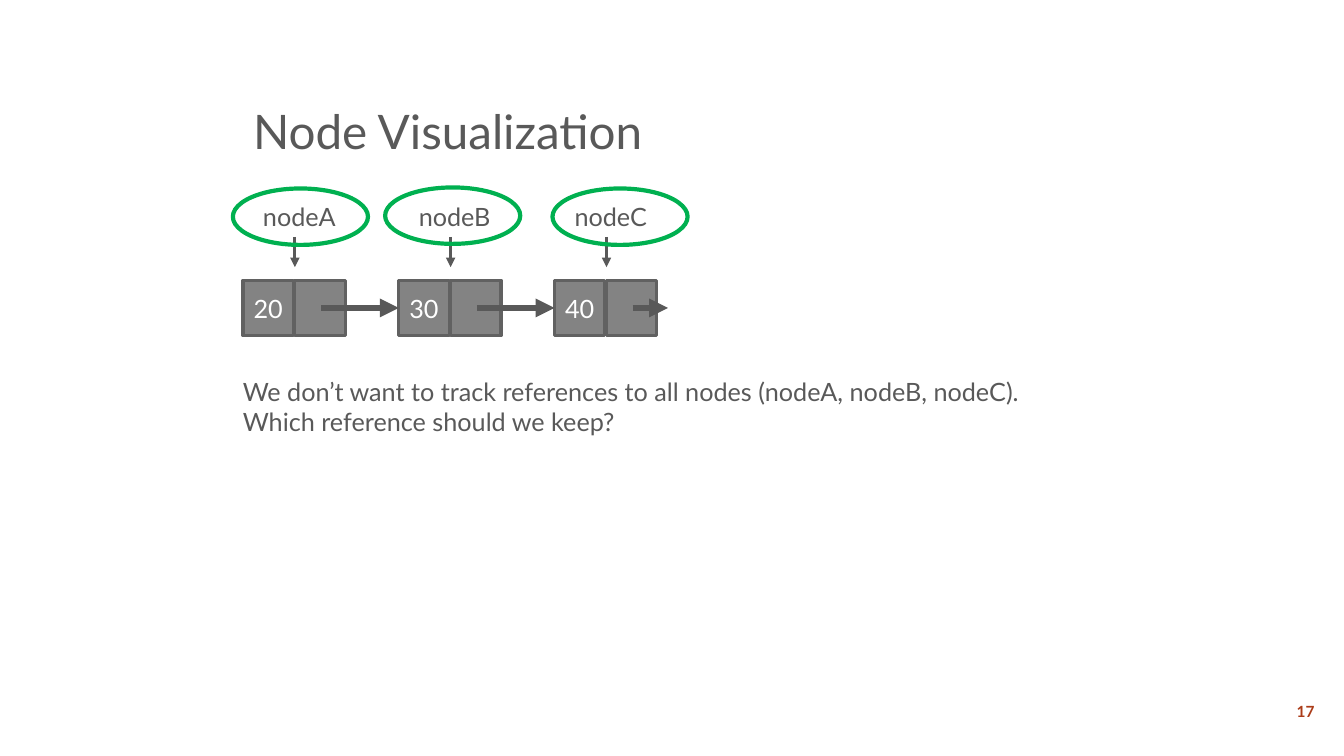
from lxml.etree import SubElement
from pptx import Presentation
from pptx.dml.color import RGBColor
from pptx.enum.shapes import MSO_CONNECTOR as CONNECTOR, MSO_SHAPE as SHAPE
from pptx.enum.text import MSO_ANCHOR as ANCHOR, MSO_AUTO_SIZE as AUTO_SIZE, PP_ALIGN as ALIGN
from pptx.oxml.ns import qn
from pptx.util import Inches, Pt

color = RGBColor.from_string
GRAY = "595959"


def write(shape, text, size=18, font_color=GRAY, bold=False, align=ALIGN.LEFT, **frame_format):
    frame = shape.text_frame
    for name, value in frame_format.items():
        setattr(frame, name, value)
    paragraph = frame.paragraphs[0]
    paragraph.alignment = align
    run = paragraph.add_run()
    run.text = text
    font_format = {"name": "Lato", "size": Pt(size), "bold": bold}
    for name, value in font_format.items():
        setattr(run.font, name, value)
    run.font.color.rgb = color(font_color)


def add_arrow(start_x, start_y, end_x, end_y, width):
    arrow = slide.shapes.add_connector(
        CONNECTOR.STRAIGHT, Inches(start_x), Inches(start_y), Inches(end_x), Inches(end_y))
    arrow.line.color.rgb = color(GRAY)
    arrow.line.width = Pt(width)
    SubElement(arrow.line._get_or_add_ln(), qn("a:tailEnd"), type="triangle")
    SubElement(arrow._element.spPr, qn("a:effectLst"))
    return arrow


presentation = Presentation()
presentation.slide_width = Inches(13.33)
presentation.slide_height = Inches(7.5)
slide = presentation.slides.add_slide(presentation.slide_layouts[5])

# Title
title = slide.shapes.title
title_place = {"left": 2.41, "top": 0.33, "width": 10.25, "height": 1.31}
for name, value in title_place.items():
    setattr(title, name, Inches(value))
write(title, "Node Visualization", size=34, vertical_anchor=ANCHOR.BOTTOM,
      auto_size=AUTO_SIZE.NONE, word_wrap=True)
title.text_frame.paragraphs[0].line_spacing = 0.9

# Slide number
number = slide.shapes.add_textbox(Inches(12.66), Inches(6.87), Inches(0.58), Inches(0.38))
write(number, "17", size=11, font_color="AB3C19", bold=True, align=ALIGN.CENTER,
      vertical_anchor=ANCHOR.MIDDLE, word_wrap=True)

# Nodes: a value cell and a reference cell each
node_left, node_pitch, cell_pitch = 2.41, 1.545, 0.515
node_top, cell_width, cell_height = 2.78, 0.5, 0.55
lefts = [node_left + index * node_pitch for index in range(3)]
value_cells = []
for left, value in zip(lefts, ["20", "30", "40"]):
    for cell_left, text in [(left, value), (left + cell_pitch, "")]:
        cell = slide.shapes.add_shape(
            SHAPE.RECTANGLE, Inches(cell_left), Inches(node_top),
            Inches(cell_width), Inches(cell_height))
        cell.shadow.inherit = False
        cell.fill.solid()
        cell.fill.fore_color.rgb = color("838383")
        cell.line.color.rgb = color("616161")
        cell.line.width = Pt(2.25)
        if text:
            write(cell, text, font_color="FFFFFF", align=ALIGN.CENTER,
                  vertical_anchor=ANCHOR.MIDDLE)
            value_cells.append(cell)

# Links from each node to the next; the last one leads nowhere
link_y = node_top + cell_height / 2
for left, next_cell in zip(lefts, value_cells[1:] + [None]):
    link_length = 0.77 if next_cell else 0.35
    link_left = left + 0.775
    link = add_arrow(link_left, link_y, link_left + link_length, link_y, 4.5)
    if next_cell:
        link.end_connect(next_cell, 1)

# Reference names with pointers down to their nodes
for left, name in zip(lefts, ["nodeA", "nodeB", "nodeC"]):
    label = slide.shapes.add_textbox(Inches(left + 0.1), Inches(1.95), Inches(0.95), Inches(0.4))
    write(label, name, word_wrap=False, auto_size=AUTO_SIZE.SHAPE_TO_FIT_TEXT)
    pointer_x = left + cell_pitch
    add_arrow(pointer_x, 2.35, pointer_x, 2.65, 2.25)

# Green rings around the names
for ring_left, ring_top in [(2.31, 1.87), (3.82, 1.86), (5.48, 1.87)]:
    ring = slide.shapes.add_shape(
        SHAPE.OVAL, Inches(ring_left), Inches(ring_top), Inches(1.34), Inches(0.56))
    ring.shadow.inherit = False
    ring.fill.background()
    ring.line.color.rgb = color("00B050")
    ring.line.width = Pt(3)

# Question
question = slide.shapes.add_textbox(Inches(2.31), Inches(3.68), Inches(8.63), Inches(0.71))
write(question, "We don’t want to track references to all nodes (nodeA, nodeB, nodeC). "
      "Which reference should we keep?",
      word_wrap=True, auto_size=AUTO_SIZE.SHAPE_TO_FIT_TEXT)

presentation.save("out.pptx")
